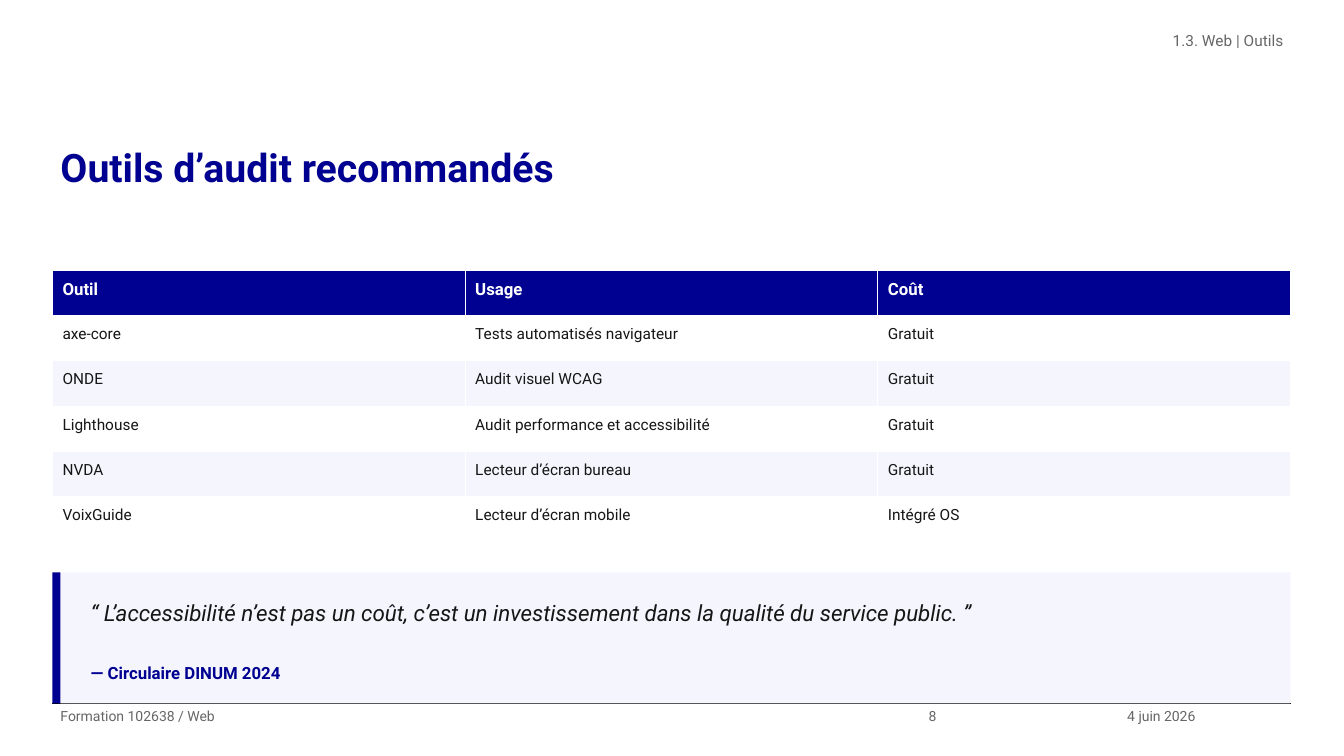
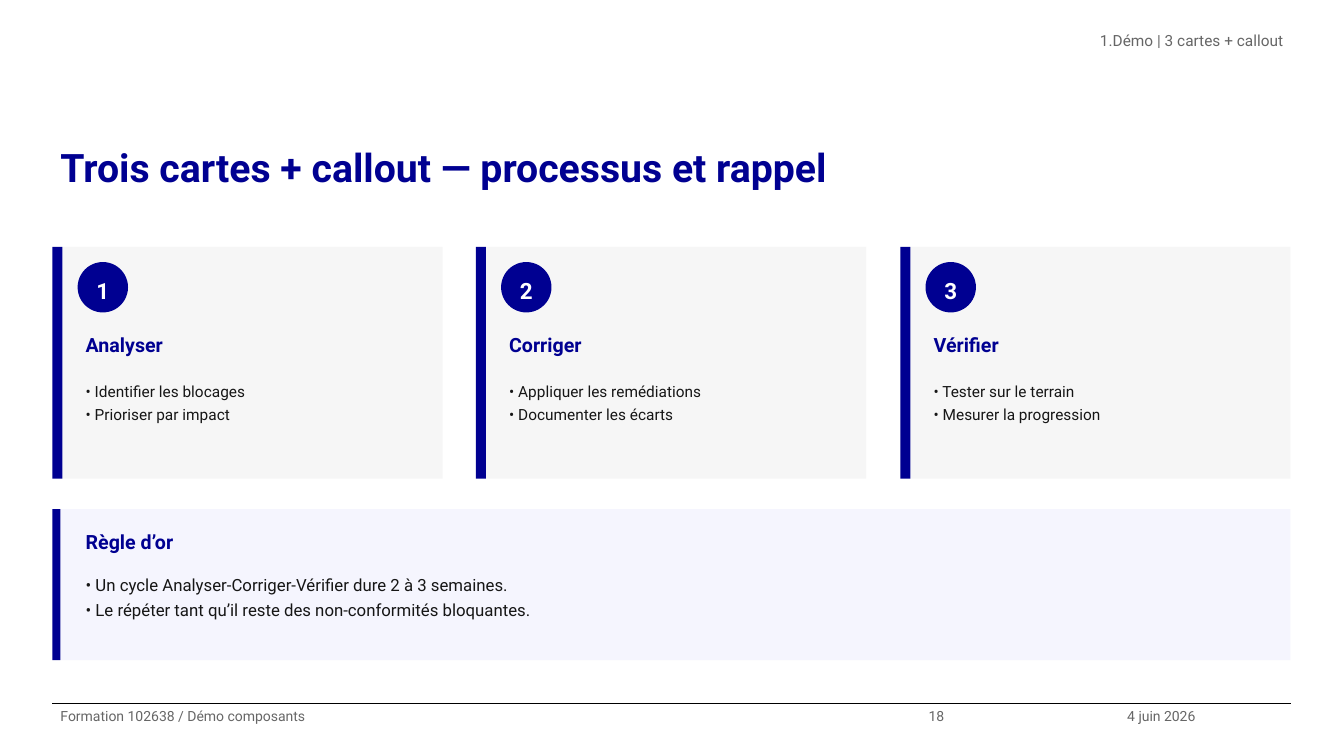
import pptx
import pptx.util
import pptx.dml.color
import pptx.enum.shapes
import pptx.enum.text
import pptx.oxml.ns
import lxml.etree

PX = 9144  # 100 px to the inch
FONT = "Roboto"
COLORS = {"blue": "000091", "ink": "161616", "grey": "666666", "white": "FFFFFF",
          "pale": "F5F5FE", "card": "F6F6F6", "black": "000000"}
LEFT, WIDTH, FOOT = 52, 1228, 698
SHAPE = pptx.enum.shapes.MSO_SHAPE
ALIGN = pptx.enum.text.PP_ALIGN
ANCHOR = pptx.enum.text.MSO_ANCHOR
RGB = pptx.dml.color.RGBColor.from_string
qn = pptx.oxml.ns.qn


def add_box(s, x, y, w, h, fill=None, kind=SHAPE.RECTANGLE):
    """Add a filled shape, or a text box when there is no fill."""
    rect = [v * PX for v in (x, y, w, h)]
    if fill is None:
        return s.shapes.add_textbox(*rect)
    sp = s.shapes.add_shape(kind, *rect)
    sp.shadow.inherit = False
    sp.fill.solid()
    sp.fill.fore_color.rgb = RGB(COLORS[fill])
    sp.line.fill.background()
    return sp


def write(tf, lines, size, color, bold=False, italic=False, align=ALIGN.LEFT,
          pad=5, anchor=ANCHOR.TOP, side=8):
    """Write one paragraph per line in a single style."""
    tf.word_wrap = True
    tf.vertical_anchor = anchor
    tf.margin_left = tf.margin_right = side * PX
    tf.margin_top = tf.margin_bottom = pad * PX
    for i, line in enumerate(lines):
        p = tf.add_paragraph() if i else tf.paragraphs[0]
        p.alignment = align
        p.line_spacing = 1.25
        r = p.add_run()
        r.text = line
        r.font.name, r.font.size = FONT, pptx.util.Pt(size)
        r.font.bold, r.font.italic = bold, italic
        r.font.color.rgb = RGB(COLORS[color])


prs = pptx.Presentation()
prs.slide_width, prs.slide_height = 1333 * PX, 750 * PX

# Frame of every slide: rule, title, numbered section, footer
frames = [
    ("Outils d’audit recommandés", "3. Web | Outils", "Formation 102638 / Web", "8"),
    ("Trois cartes + callout — processus et rappel", "Démo | 3 cartes + callout",
     "Formation 102638 / Démo composants", "18"),
]
for title, section, footer, number in frames:
    s = prs.slides.add_slide(prs.slide_layouts[5])
    rule = s.shapes.add_connector(pptx.enum.shapes.MSO_CONNECTOR.STRAIGHT, LEFT * PX,
                                  FOOT * PX, (LEFT + WIDTH) * PX, FOOT * PX)
    rule.line.color.rgb = RGB(COLORS["black"])
    rule.line.width = pptx.util.Pt(0.8)
    lxml.etree.SubElement(rule._element.spPr, qn("a:effectLst"))

    sp = s.shapes.title
    sp.left, sp.top, sp.width, sp.height = LEFT * PX, 131 * PX, WIDTH * PX, 105 * PX
    sp.text_frame.auto_size = pptx.enum.text.MSO_AUTO_SIZE.NONE
    write(sp.text_frame, [title], 28, "blue", bold=True, pad=0)

    tf = add_box(s, 483, 26, 798, 52).text_frame
    write(tf, [section], 11, "grey", align=ALIGN.RIGHT, pad=0)
    pPr = tf.paragraphs[0]._p.get_or_add_pPr()
    pPr.set("marL", str(12 * PX))
    pPr.set("indent", str(-12 * PX))
    lxml.etree.SubElement(pPr, qn("a:buAutoNum"), type="arabicPeriod")

    for x, w, text in [(LEFT, 861, footer), (913, 197, number), (1110, 171, "4 juin 2026")]:
        write(add_box(s, x, FOOT, w, 52).text_frame, [text], 10, "grey", pad=0)

tools, cards = prs.slides

# Tools table
rows = [
    ("Outil", "Usage", "Coût"),
    ("axe-core", "Tests automatisés navigateur", "Gratuit"),
    ("ONDE", "Audit visuel WCAG", "Gratuit"),
    ("Lighthouse", "Audit performance et accessibilité", "Gratuit"),
    ("NVDA", "Lecteur d’écran bureau", "Gratuit"),
    ("VoixGuide", "Lecteur d’écran mobile", "Intégré OS"),
]
table = tools.shapes.add_table(len(rows), 3, LEFT * PX, 268 * PX, WIDTH * PX,
                               45 * len(rows) * PX).table
for i, row in enumerate(rows):
    for j, text in enumerate(row):
        cell = table.cell(i, j)
        cell.fill.solid()
        fill = "blue" if i == 0 else "white" if i % 2 else "pale"
        cell.fill.fore_color.rgb = RGB(COLORS[fill])
        write(cell.text_frame, [text], 11 if i else 12, "ink" if i else "white",
              bold=i == 0, side=10)

# Panels with an accent bar: quote, callout, three cards
card_w = 387
card_xs = [LEFT + round(i * (WIDTH - card_w) / 2) for i in range(3)]
panels = [(tools, LEFT, 568, WIDTH, 130, 8, "pale"), (cards, LEFT, 505, WIDTH, 150, 8, "pale")]
panels += [(cards, x, 245, card_w, 230, 10, "card") for x in card_xs]
for s, x, y, w, h, bar, fill in panels:
    add_box(s, x + bar, y, w - bar, h, fill)
    add_box(s, x, y, bar, h, "blue")

# Quote
quote = "“ L’accessibilité n’est pas un coût, c’est un investissement dans la qualité du service public. ”"
write(add_box(tools, 82, 583, 1188, 70).text_frame, [quote], 16, "ink", italic=True)
write(add_box(tools, 82, 648, 1188, 40).text_frame, ["— Circulaire DINUM 2024"], 12,
      "blue", bold=True)

# Cards
steps = [
    ("Analyser", ["• Identifier les blocages", "• Prioriser par impact"]),
    ("Corriger", ["• Appliquer les remédiations", "• Documenter les écarts"]),
    ("Vérifier", ["• Tester sur le terrain", "• Mesurer la progression"]),
]
for i, (x, (head, points)) in enumerate(zip(card_xs, steps), 1):
    badge = add_box(cards, x + 25, 260, 50, 50, "blue", SHAPE.OVAL)
    write(badge.text_frame, [str(i)], 16, "white", bold=True, align=ALIGN.CENTER,
          anchor=ANCHOR.MIDDLE)
    write(add_box(cards, x + 25, 320, 347, 45).text_frame, [head], 14, "blue", bold=True)
    write(add_box(cards, x + 25, 370, 347, 90).text_frame, points, 11, "ink")

# Callout
write(add_box(cards, 77, 515, 1193, 40).text_frame, ["Règle d’or"], 14, "blue", bold=True)
write(add_box(cards, 77, 560, 1193, 85).text_frame,
      ["• Un cycle Analyser-Corriger-Vérifier dure 2 à 3 semaines.",
       "• Le répéter tant qu’il reste des non-conformités bloquantes."], 12, "ink")

prs.save("out.pptx")
